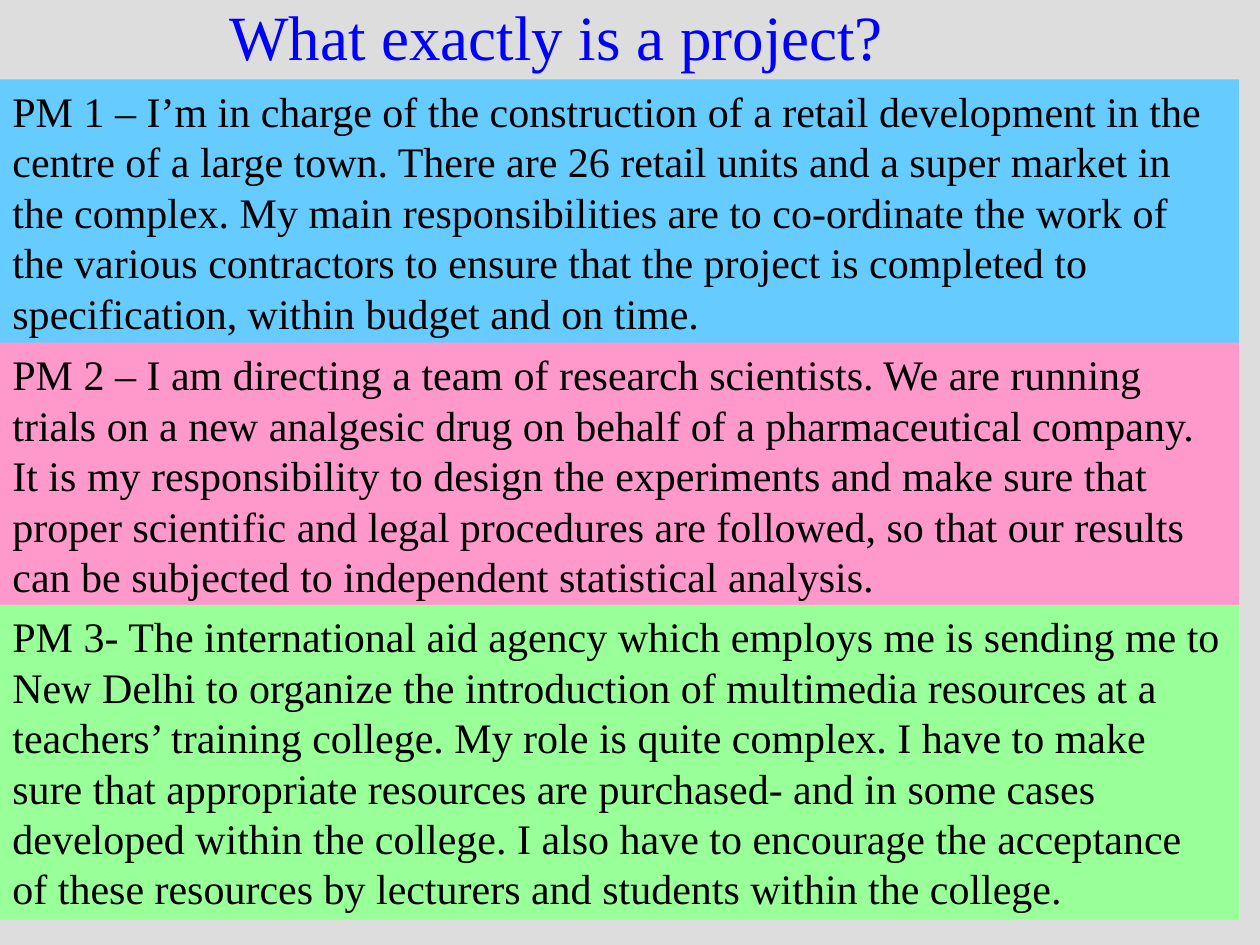
"""Build a slide in which three project managers describe their work."""
from dataclasses import dataclass

from pptx import Presentation
from pptx.dml.color import RGBColor
from pptx.enum.shapes import MSO_SHAPE
from pptx.enum.text import MSO_ANCHOR, MSO_AUTO_SIZE, PP_ALIGN
from pptx.slide import Slide
from pptx.text.text import TextFrame
from pptx.util import Pt

RECT = MSO_SHAPE.RECTANGLE
TOP, MIDDLE = MSO_ANCHOR.TOP, MSO_ANCHOR.MIDDLE
LEFT, CENTER = PP_ALIGN.LEFT, PP_ALIGN.CENTER
GROW, FIXED = MSO_AUTO_SIZE.SHAPE_TO_FIT_TEXT, MSO_AUTO_SIZE.NONE

GREY = RGBColor(0xDD, 0xDD, 0xDD)
BLUE = RGBColor(0x00, 0x00, 0xFF)
BLACK = RGBColor(0x00, 0x00, 0x00)
SKY = RGBColor(0x66, 0xCC, 0xFF)
PINK = RGBColor(0xFF, 0x99, 0xCC)
GREEN = RGBColor(0x99, 0xFF, 0x99)

FACE = "Times New Roman"
LINE = 28.8


@dataclass
class Panel:
    """One manager's statement on a coloured band."""
    top: float
    lines: int
    fill: RGBColor
    text: str


PANELS = [
    Panel(45.36, 5, SKY,
          "PM 1 – I’m in charge of the construction of a retail development in the "
          "centre of a large town. There are 26 retail units and a super market in "
          "the complex. My main responsibilities are to co-ordinate the work of "
          "the various contractors to ensure that the project is completed to "
          "specification, within budget and on time."),
    Panel(195.84, 5, PINK,
          "PM 2 – I am directing a team of research scientists. We are running "
          "trials on a new analgesic drug on behalf of a pharmaceutical company. "
          "It is my responsibility to design the experiments and make sure that "
          "proper scientific and legal procedures are followed, so that our results "
          "can be subjected to independent statistical analysis."),
    Panel(345.6, 6, GREEN,
          "PM 3- The international aid agency which employs me is sending me to "
          "New Delhi to organize the introduction of multimedia resources at a "
          "teachers’ training college. My role is quite complex. I have to make "
          "sure that appropriate resources are purchased- and in some cases "
          "developed within the college. I also have to encourage the acceptance "
          "of these resources by lecturers and students within the college."),
]


def write(frame: TextFrame, text: str, size: int, color: RGBColor,
          align: PP_ALIGN) -> None:
    """Fill a frame with one formatted paragraph."""
    frame.text = text
    frame.word_wrap = True
    para = frame.paragraphs[0]
    para.alignment = align
    font = para.runs[0].font
    font.name, font.size, font.color.rgb = FACE, Pt(size), color


def draw_title(slide: Slide, text: str) -> None:
    """Place the slide title."""
    title = slide.shapes.title
    title.left, title.top = Pt(12), Pt(2)
    title.width, title.height = Pt(612), Pt(36)
    frame = title.text_frame
    write(frame, text, 36, BLUE, CENTER)
    frame.vertical_anchor = MIDDLE
    frame.auto_size = FIXED


def draw_panel(slide: Slide, panel: Panel) -> None:
    """Draw a coloured band with its statement."""
    high = panel.lines * LINE + 7.2
    band = slide.shapes.add_shape(RECT, Pt(0), Pt(panel.top), Pt(708), Pt(high))
    band.shadow.inherit = False
    band.fill.solid()
    band.fill.fore_color.rgb = panel.fill
    band.line.fill.background()
    frame = band.text_frame
    write(frame, panel.text, 24, BLACK, LEFT)
    frame.paragraphs[0].line_spacing = Pt(LINE)
    frame.vertical_anchor = TOP
    frame.auto_size = GROW


def main() -> None:
    """Build and save the deck."""
    deck = Presentation()
    deck.slide_width, deck.slide_height = Pt(720), Pt(540)
    slide = deck.slides.add_slide(deck.slide_layouts.get_by_name("Title Only"))
    back = slide.background.fill
    back.solid()
    back.fore_color.rgb = GREY
    draw_title(slide, "What exactly is a project?")
    for panel in PANELS:
        draw_panel(slide, panel)
    deck.save("out.pptx")


if __name__ == "__main__":
    main()
